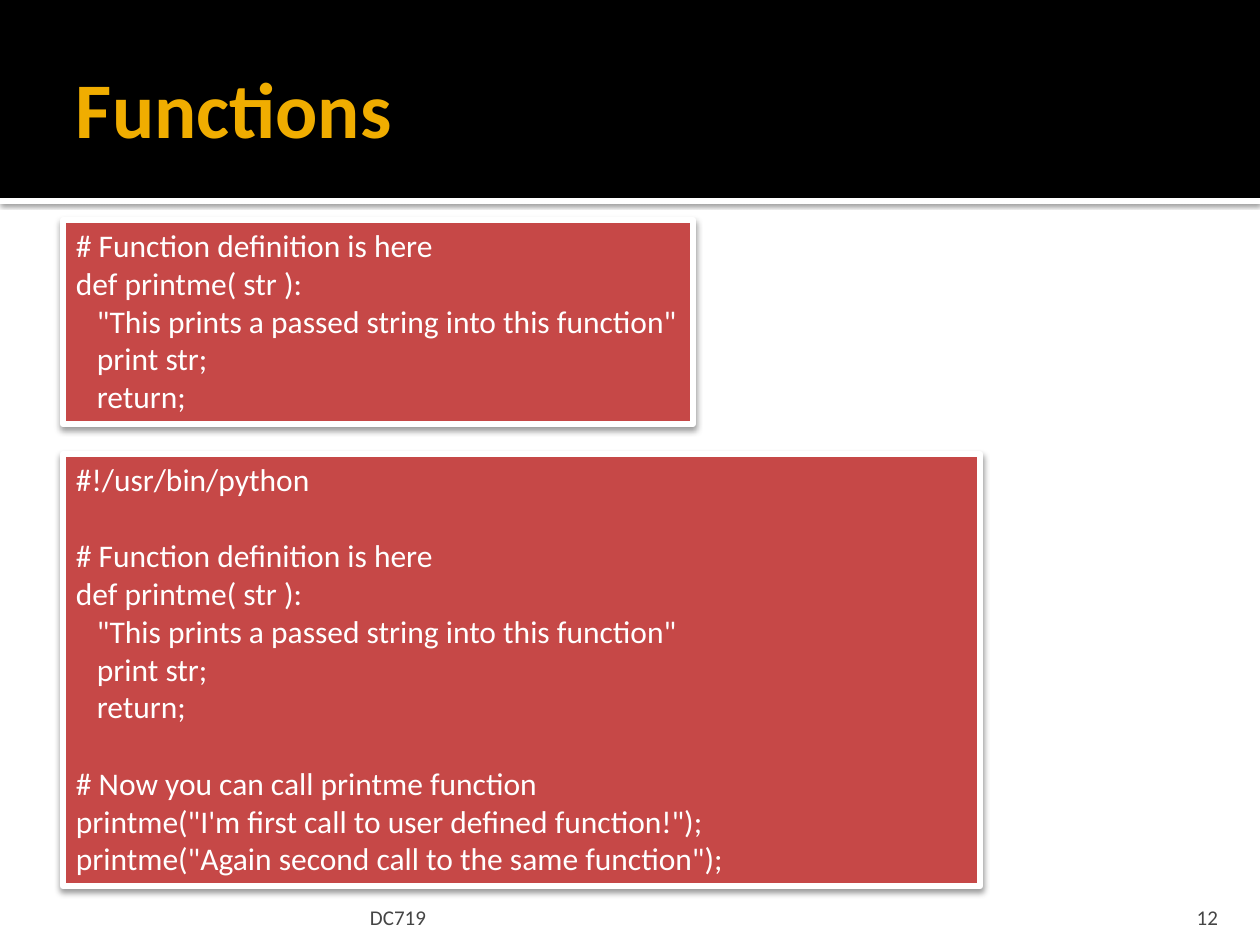
"""Build the Functions slide: a title band and two Python code panels."""
from dataclasses import dataclass
from typing import Optional

from lxml.etree import SubElement
from pptx import Presentation
from pptx.dml.color import RGBColor
from pptx.enum.shapes import MSO_SHAPE as Shape
from pptx.enum.text import MSO_ANCHOR as Anchor, MSO_AUTO_SIZE as AutoSize, PP_ALIGN as Align
from pptx.oxml.ns import qn
from pptx.util import Emu, Pt


@dataclass(frozen=True)
class Theme:
    font: str = "Calibri"
    band: str = "000000"
    paper: str = "FFFFFF"
    title: str = "F0AD00"
    panel: str = "C64847"
    footer: str = "454545"
    title_size: int = 45
    code_size: int = 18
    footer_size: int = 12
    blank_line: int = 22
    border: float = 3.82


@dataclass(frozen=True)
class Box:
    left: int
    top: int
    width: int
    height: int


@dataclass(frozen=True)
class Shadow:
    opacity: int
    blur: float
    distance: float


@dataclass(frozen=True)
class Line:
    text: str
    indented: bool = False
    gap_before: bool = False


@dataclass(frozen=True)
class Panel:
    box: Box
    lines: tuple[Line, ...]


@dataclass(frozen=True)
class Footer:
    box: Box
    text: str
    align: Align
    side_inset: int


THEME = Theme()
PX_PER_INCH = 126
INDENT = 21
RULE_SHADOW = Shadow(60, 2.5, 0.8)
PANEL_SHADOW = Shadow(38, 3.5, 2)

BODY = (
    Line("def printme( str ):"),
    Line('"This prints a passed string into this function"', indented=True),
    Line("print str;", indented=True),
    Line("return;", indented=True),
)
HEADING = "# Function definition is here"
PANELS = (
    Panel(Box(63, 220, 630, 204), (Line(HEADING), *BODY)),
    Panel(
        Box(63, 454, 917, 432),
        (
            Line("#!/usr/bin/python"),
            Line(HEADING, gap_before=True),
            *BODY,
            Line("# Now you can call printme function", gap_before=True),
            Line('printme("I\'m first call to user defined function!");'),
            Line('printme("Again second call to the same function");'),
        ),
    ),
)
FOOTERS = (
    Footer(Box(364, 892, 759, 38), "DC719", Align.LEFT, 6),
    Footer(Box(1130, 892, 101, 38), "12", Align.RIGHT, 13),
)


def px(length: int) -> Emu:
    """Turn pixels into EMU."""
    return Emu(round(length * 914400 / PX_PER_INCH))


def place(box: Box) -> tuple[Emu, ...]:
    """Give a box as left, top, width and height in EMU."""
    return px(box.left), px(box.top), px(box.width), px(box.height)


def style(paragraph, size: int, color: str, bold: bool = False) -> None:
    """Set the font of a whole paragraph."""
    font = paragraph.font
    font.name, font.size, font.bold = THEME.font, Pt(size), bold
    font.color.rgb = RGBColor.from_string(color)


def set_frame(frame, anchor: Anchor, left: int, top: int, right: int, bottom: int) -> None:
    """Set wrapping, anchor and insets of a text frame."""
    frame.word_wrap, frame.auto_size = True, AutoSize.NONE
    frame.vertical_anchor = anchor
    frame.margin_left, frame.margin_top = px(left), px(top)
    frame.margin_right, frame.margin_bottom = px(right), px(bottom)


def add_rect(slide, box: Box, fill: str, shadow: Optional[Shadow] = None, border: Optional[str] = None):
    """Add a filled rectangle with an optional border and downward shadow."""
    rect = slide.shapes.add_shape(Shape.RECTANGLE, *place(box))
    rect.fill.solid()
    rect.fill.fore_color.rgb = RGBColor.from_string(fill)
    if border:
        rect.line.color.rgb = RGBColor.from_string(border)
        rect.line.width = Pt(THEME.border)
    else:
        rect.line.fill.background()
    rect.shadow.inherit = False
    if shadow:
        effects = rect.element.spPr.find(qn("a:effectLst"))
        outer = SubElement(effects, qn("a:outerShdw"), blurRad=str(Pt(shadow.blur)),
                           dist=str(Pt(shadow.distance)), dir="5400000", rotWithShape="0")
        color = SubElement(outer, qn("a:srgbClr"), val=THEME.band)
        SubElement(color, qn("a:alpha"), val=str(shadow.opacity * 1000))
    return rect


def add_title(slide, text: str) -> None:
    """Fill the title placeholder and bring it in front of the band."""
    title = slide.shapes.title
    title.left, title.top, title.width, title.height = place(Box(63, 21, 1134, 173))
    set_frame(title.text_frame, Anchor.MIDDLE, 13, 6, 6, 6)
    title.text_frame.text = text
    paragraph = title.text_frame.paragraphs[0]
    paragraph.alignment = Align.LEFT
    style(paragraph, THEME.title_size, THEME.title, bold=True)
    slide.shapes.element.append(title.element)


def add_panel(slide, panel: Panel) -> None:
    """Add a code panel with one paragraph per line of code."""
    frame = add_rect(slide, panel.box, THEME.panel, PANEL_SHADOW, THEME.paper).text_frame
    set_frame(frame, Anchor.TOP, 13, 6, 13, 6)
    frame.text = "\n".join(line.text for line in panel.lines)
    for paragraph, line in zip(frame.paragraphs, panel.lines):
        paragraph.alignment = Align.LEFT
        style(paragraph, THEME.code_size, THEME.paper)
        if line.gap_before:
            paragraph.space_before = Pt(THEME.blank_line)
        if line.indented:
            paragraph._p.get_or_add_pPr().set("marL", str(px(INDENT)))


def add_footer(slide, footer: Footer) -> None:
    """Add a small text at the foot of the slide."""
    frame = slide.shapes.add_textbox(*place(footer.box)).text_frame
    set_frame(frame, Anchor.BOTTOM, footer.side_inset, 6, footer.side_inset, 0)
    frame.text = footer.text
    frame.paragraphs[0].alignment = footer.align
    style(frame.paragraphs[0], THEME.footer_size, THEME.footer)


def main() -> None:
    """Build and save the slide."""
    deck = Presentation()
    deck.slide_width, deck.slide_height = px(1260), px(945)
    slide = deck.slides.add_slide(deck.slide_layouts[5])
    add_rect(slide, Box(0, 198, 1260, 6), THEME.paper, RULE_SHADOW)
    add_rect(slide, Box(0, 0, 1260, 198), THEME.band)
    add_title(slide, "Functions")
    for footer in FOOTERS:
        add_footer(slide, footer)
    for panel in PANELS:
        add_panel(slide, panel)
    deck.save("out.pptx")


if __name__ == "__main__":
    main()
